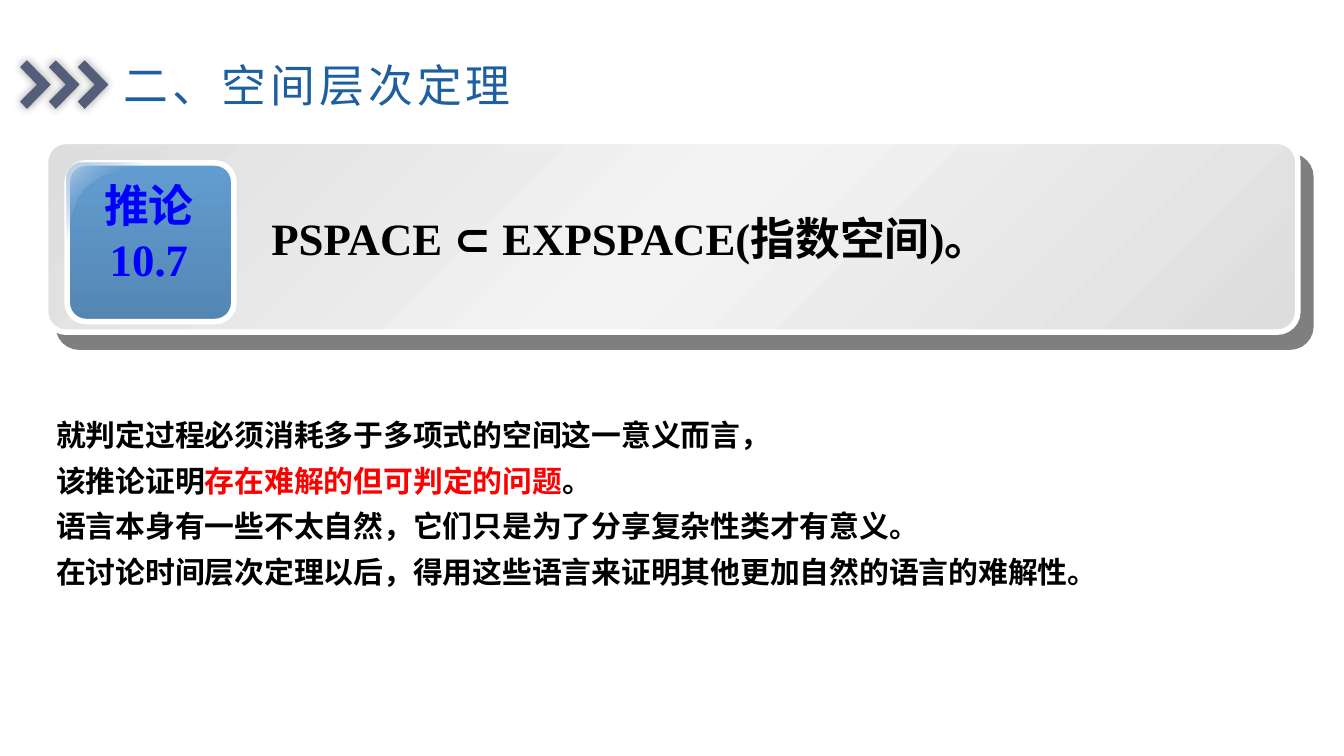
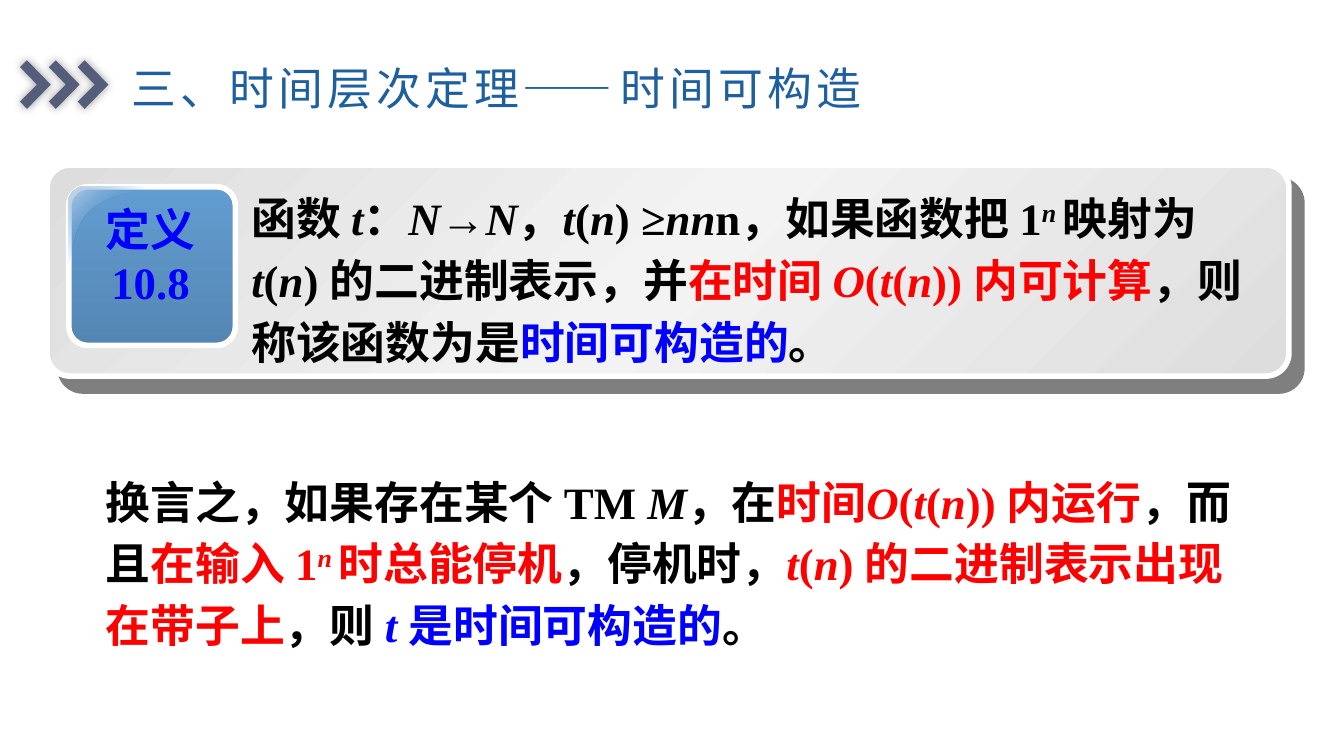
"""Builds two slides on the space and time hierarchy theorems."""
from lxml import etree
from pptx import Presentation
from pptx.dml.color import RGBColor
from pptx.enum.shapes import MSO_SHAPE
from pptx.enum.text import MSO_ANCHOR, PP_ALIGN
from pptx.oxml.ns import qn
from pptx.util import Cm, Pt

ROUNDED = MSO_SHAPE.ROUNDED_RECTANGLE
TOP, MIDDLE = MSO_ANCHOR.TOP, MSO_ANCHOR.MIDDLE
LEFT, CENTER = PP_ALIGN.LEFT, PP_ALIGN.CENTER
TITLE_ONLY = 5

COLORS = {
    "title": "1E5F9F", "chevron": "545D79", "ink": "000000", "red": "FF0000",
    "blue": "0000FF", "white": "FFFFFF", "card_edge": "DDDDDD",
    "card_mid": "F3F3F3", "badge_top": "629DD1", "badge_low": "5486B3",
    "gloss": "BFD1E7",
}
CJK, SERIF, SANS = "Noto Sans CJK SC", "Times New Roman", "Cabin"
MARKS = {
    "k": {"color": "ink"}, "r": {"color": "red"}, "b": {"color": "blue"},
    "t": {"color": "title", "bold": False}, "i": {"italic": True},
    "c": {"name": SANS}, "s": {"baseline": "30000"}, "w": {"spc": "220"},
}
CHEVRON = [(0, 0.13), (0.13, 0), (0.58, 0.46), (0.13, 0.92), (0, 0.78), (0.32, 0.46)]
GLOSS_CORNER = [(0.3, 0), (0.15, 0), (0, 0.13), (0, 0.3)]
GLOSS_LOWER = [(0, 1.47), (0.08, 1.5), (0.03, 0.76), (0.43, 0.43)]
GLOSS_UPPER = [(0.43, 0.43), (0.81, 0.1), (1.57, 0.08), (1.55, 0)]


def bezier(a, b, c, d, steps=12):
    """Return points along a cubic curve."""
    def blend(axis, u):
        v = 1 - u
        return (v ** 3 * a[axis] + 3 * v * v * u * b[axis]
                + 3 * v * u * u * c[axis] + u ** 3 * d[axis])
    return [(blend(0, n / steps), blend(1, n / steps)) for n in range(steps + 1)]


def of_n(function, mark):
    """Return the runs of a function applied to n, in one colour."""
    return [(function, mark + "i"), ("(", mark), ("n", mark + "i"), (")", mark)]


def bound(mark):
    """Return the runs of O(t(n)) in one colour."""
    return [("O", mark + "i"), ("(", mark), *of_n("t", mark), (")", mark)]


class Deck:
    """Holds the style and the current slide."""

    def __init__(self):
        """Start an empty widescreen deck."""
        self.prs = Presentation()
        self.prs.slide_width, self.prs.slide_height = Cm(25.4), Cm(14.29)
        self.slide = None

    def start(self, heading, box):
        """Add a slide with its title and chevrons."""
        self.slide = self.prs.slides.add_slide(self.prs.slide_layouts[TITLE_ONLY])
        title = self.slide.shapes.title
        title.left, title.top, title.width, title.height = map(Cm, box)
        self.compose(title.text_frame, [[(heading, "tw")]], 24, CJK, align=CENTER,
                     frame={"word_wrap": False, "vertical_anchor": MIDDLE,
                            "margin_left": Cm(0.18), "margin_right": Cm(0.18),
                            "margin_top": Cm(0.1), "margin_bottom": Cm(0.1)})
        for index in range(3):
            chevron = self.outline(CHEVRON, 0.38 + 0.545 * index, 1.14)
            chevron.fill.solid()
            chevron.fill.fore_color.rgb = RGBColor.from_string(COLORS["chevron"])
            self.shade(chevron, alpha=40, blur=5)

    def outline(self, points, left, top):
        """Draw a closed outline without line or shadow."""
        placed = [(Cm(left + x), Cm(top + y)) for x, y in points]
        builder = self.slide.shapes.build_freeform(*placed[0])
        builder.add_line_segments(placed[1:], close=True)
        outline = builder.convert_to_shape()
        outline.line.fill.background()
        outline.shadow.inherit = False
        return outline

    def shade(self, shape, alpha, blur=0, distance=0, angle=0):
        """Give a shape a black outer shadow."""
        effects = shape._element.spPr.find(qn("a:effectLst"))
        shadow = etree.SubElement(
            effects, qn("a:outerShdw"), blurRad=str(Pt(blur)), dist=str(Pt(distance)),
            dir=str(angle * 60000), algn="ctr", rotWithShape="0")
        self.color(shadow, "ink", alpha)

    def color(self, parent, name, alpha=100):
        """Add a colour element with its opacity."""
        tone = etree.SubElement(parent, qn("a:srgbClr"), val=COLORS[name])
        if alpha < 100:
            etree.SubElement(tone, qn("a:alpha"), val=str(alpha * 1000))

    def gradient(self, shape, stops, angle):
        """Fill a shape with a linear gradient."""
        shape.fill.solid()
        props = shape._element.spPr
        fill = etree.Element(qn("a:gradFill"), rotWithShape="1")
        props.replace(props.find(qn("a:solidFill")), fill)
        ramp = etree.SubElement(fill, qn("a:gsLst"))
        for place, name, alpha in stops:
            stop = etree.SubElement(ramp, qn("a:gs"), pos=str(place * 1000))
            self.color(stop, name, alpha)
        etree.SubElement(fill, qn("a:lin"), ang=str(angle * 60000), scaled="0")

    def panel(self, box, rounding, stops, angle):
        """Draw a rounded panel with a white border."""
        panel = self.slide.shapes.add_shape(ROUNDED, *map(Cm, box))
        panel.adjustments[0] = rounding
        panel.shadow.inherit = False
        self.gradient(panel, stops, angle)
        panel.line.color.rgb = RGBColor.from_string(COLORS["white"])
        panel.line.width = Pt(3)
        return panel

    def card(self, box, label):
        """Draw a statement card with its glossy numbered badge."""
        left, top = box[:2]
        card = self.panel(box, 0.109, [(0, "card_edge", 100), (50, "card_mid", 100),
                                       (100, "card_edge", 100)], 45)
        self.shade(card, alpha=50, distance=10.6, angle=49)
        badge_left, badge_top = left + 0.41, top + 0.41
        self.panel((badge_left, badge_top, 3.15, 3), 0.119,
                   [(0, "badge_top", 100), (100, "badge_low", 100)], 90)
        self.text((left + 0.76, top + 0.56, 2.39, 2.31),
                  [[(line, "b")] for line in label], align=CENTER)
        curves = bezier(*GLOSS_CORNER) + bezier(*GLOSS_LOWER) + bezier(*GLOSS_UPPER)
        gloss = self.outline(curves, badge_left, badge_top)
        self.gradient(gloss, [(0, "gloss", 100), (50, "badge_top", 0),
                              (100, "gloss", 100)], 45)

    def text(self, box, paragraphs, size=24, face=SERIF, **layout):
        """Add a wrapping text box."""
        holder = self.slide.shapes.add_textbox(*map(Cm, box))
        self.compose(holder.text_frame, paragraphs, size, face,
                     frame={"word_wrap": True, "vertical_anchor": TOP}, **layout)

    def compose(self, body, paragraphs, size, face, frame, align=LEFT, spacing=1.0):
        """Fill a text frame with paragraphs of marked runs."""
        for key, value in frame.items():
            setattr(body, key, value)
        for index, runs in enumerate(paragraphs):
            paragraph = body.add_paragraph() if index else body.paragraphs[0]
            paragraph.alignment, paragraph.line_spacing = align, spacing
            if index and spacing > 1:
                paragraph.space_before = Pt(size * 0.15)
            for words, marks in runs:
                run = paragraph.add_run()
                run.text = words
                values = {"size": Pt(size), "name": face, "bold": True, "italic": False}
                for mark in marks:
                    values.update(MARKS[mark])
                self.style(run, values)

    def style(self, run, values):
        """Apply format values to a run."""
        props = run._r.get_or_add_rPr()
        for key, value in values.items():
            if key == "color":
                run.font.color.rgb = RGBColor.from_string(COLORS[value])
            elif key in ("baseline", "spc"):
                props.set(key, value)
            else:
                setattr(run.font, key, value)
        etree.SubElement(props, qn("a:ea"), typeface=CJK)


def space_hierarchy(deck):
    """Build the slide on the space hierarchy corollary."""
    deck.start("二、空间层次定理", (2.06, 0.99, 7.87, 1.22))
    deck.card((0.86, 2.67, 23.67, 3.61), ["推论", "10.7"])
    deck.text((4.88, 3.86, 14.12, 1.3),
              [[("PSPACE ", "k"), ("⊂", "kc"), (" EXPSPACE(指数空间)。", "k")]])
    remarks = [
        [("就判定过程必须消耗多于多项式的空间这一意义而言，", "k")],
        [("该推论证明", "k"), ("存在难解的但可判定的问题", "r"), ("。", "k")],
        [("语言本身有一些不太自然，它们只是为了分享复杂性类才有意义。", "k")],
        [("在讨论时间层次定理以后，得用这些语言来证明其他更加自然的语言的难解性。", "k")],
    ]
    deck.text((0.81, 7.65, 23.8, 3.71), remarks, size=16, face=SANS, spacing=1.15)


def time_hierarchy(deck):
    """Build the slide on time constructible functions."""
    deck.start("三、时间层次定理——时间可构造", (2.11, 1.04, 14.55, 1.22))
    deck.card((0.89, 3.12, 23.47, 3.99), ["定义", "10.8"])
    definition = [
        ("函数 ", "k"), ("t", "ki"), ("：", "k"), ("N→N", "ki"), ("，", "k"),
        *of_n("t", "k"), (" ≥", "k"), ("n", "ki"), ("log", "k"), ("n", "k"),
        ("，如果函数把 1", "k"), ("n ", "kis"), ("映射为 ", "k"), *of_n("t", "k"),
        (" 的二进制表示，并", "k"), ("在时间 ", "r"), *bound("r"), (" 内可计算", "r"),
        ("，则称该函数为是", "k"), ("时间可构造的", "b"), ("。", "k"),
    ]
    definition[11] = ("n", "ki")
    deck.text((4.5, 3.33, 19.41, 3.76), [definition], spacing=1.15)
    restatement = [
        ("换言之，如果存在某个 TM ", "k"), ("M", "ki"), ("，在", "k"), ("时间", "r"),
        *bound("r"), (" 内运行", "r"), ("，而且", "k"), ("在输入 1", "r"),
        ("n ", "ris"), ("时总能停机", "r"), ("，停机时，", "k"), *of_n("t", "r"),
        (" 的二进制表示出现在带子上", "r"), ("，则 ", "k"), ("t ", "bi"),
        ("是时间可构造的", "b"), ("。", "k"),
    ]
    deck.text((1.75, 8.69, 21.77, 3.78), [restatement], spacing=1.15)


def main():
    """Build and save the deck."""
    deck = Deck()
    space_hierarchy(deck)
    time_hierarchy(deck)
    deck.prs.save("out.pptx")


if __name__ == "__main__":
    main()
